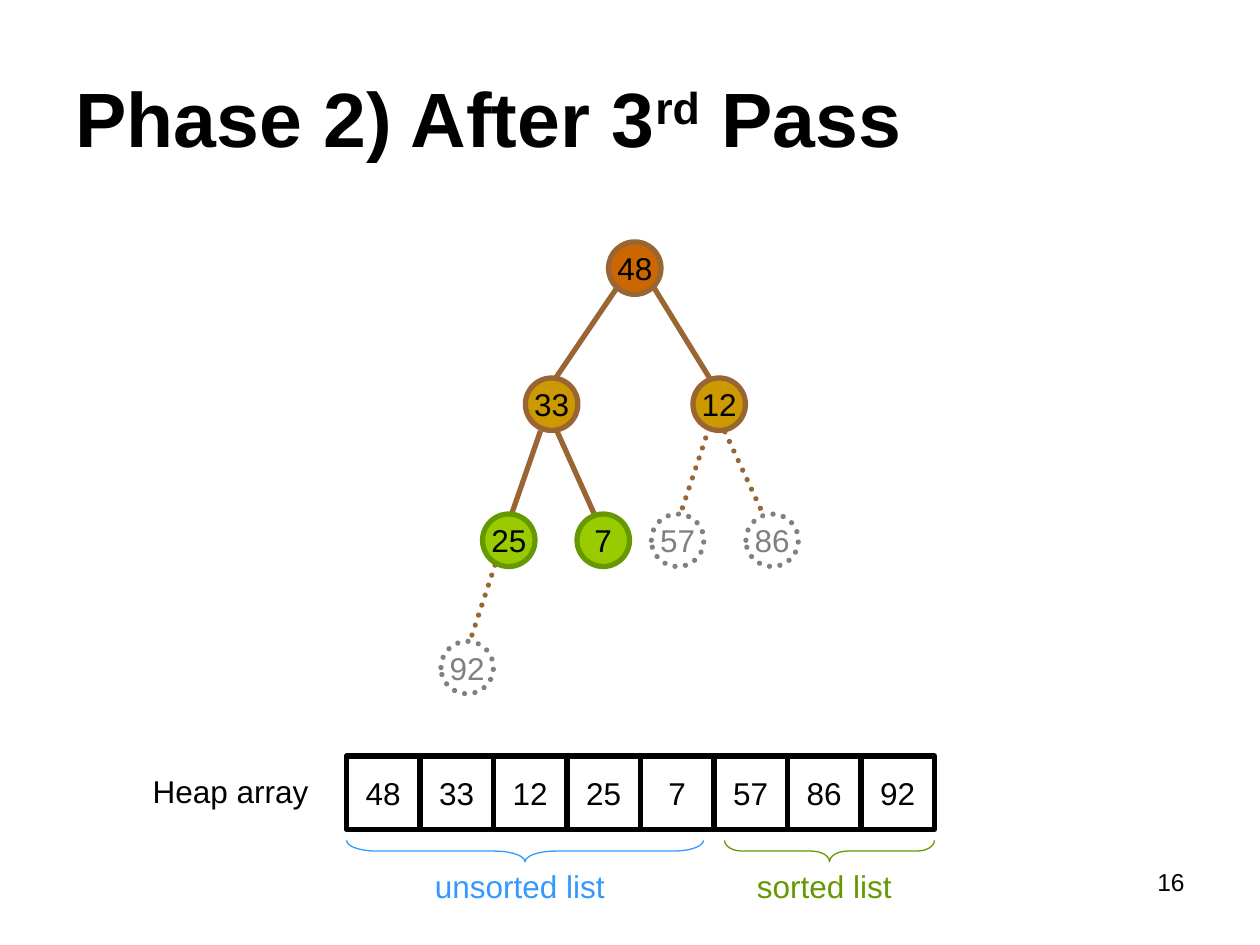
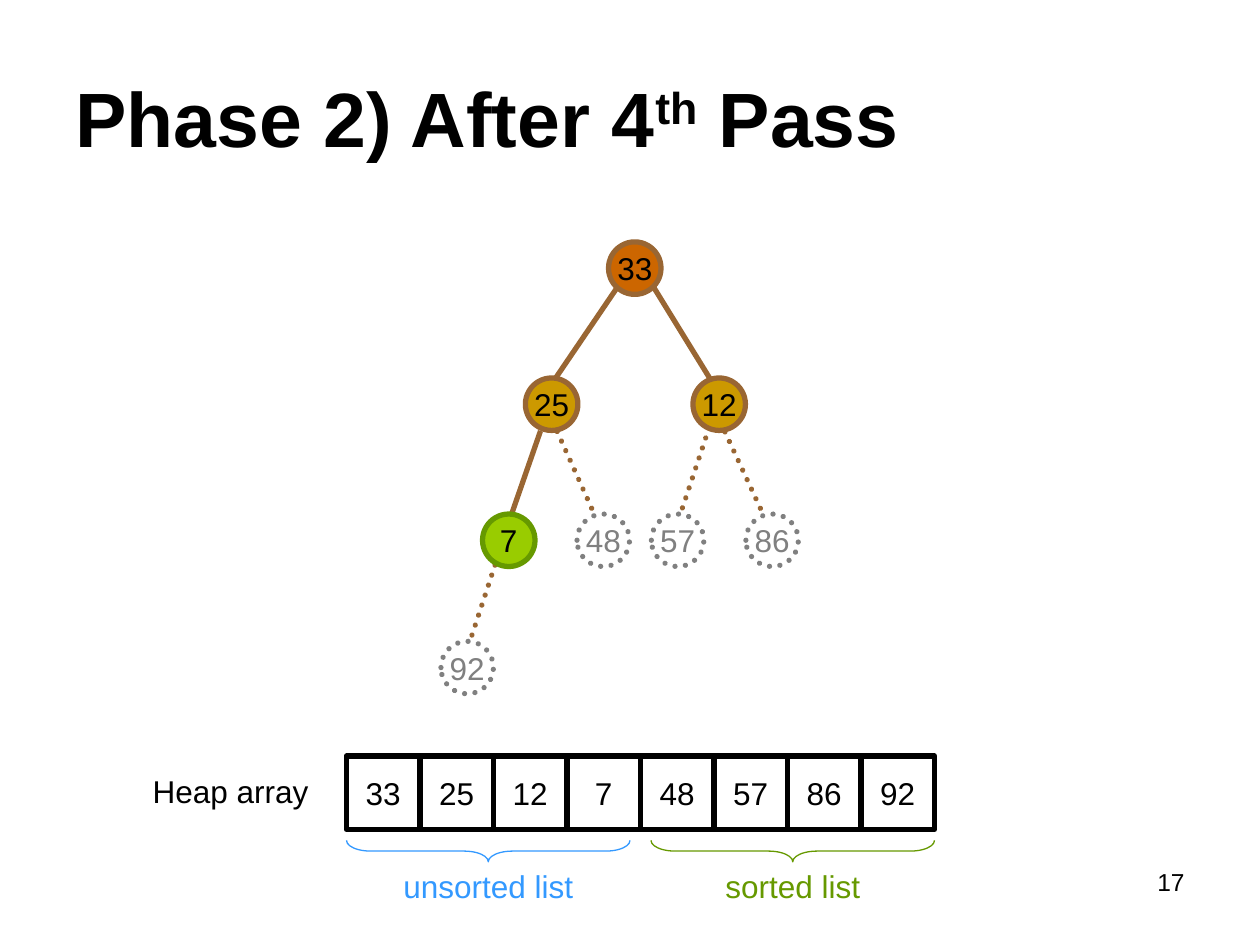
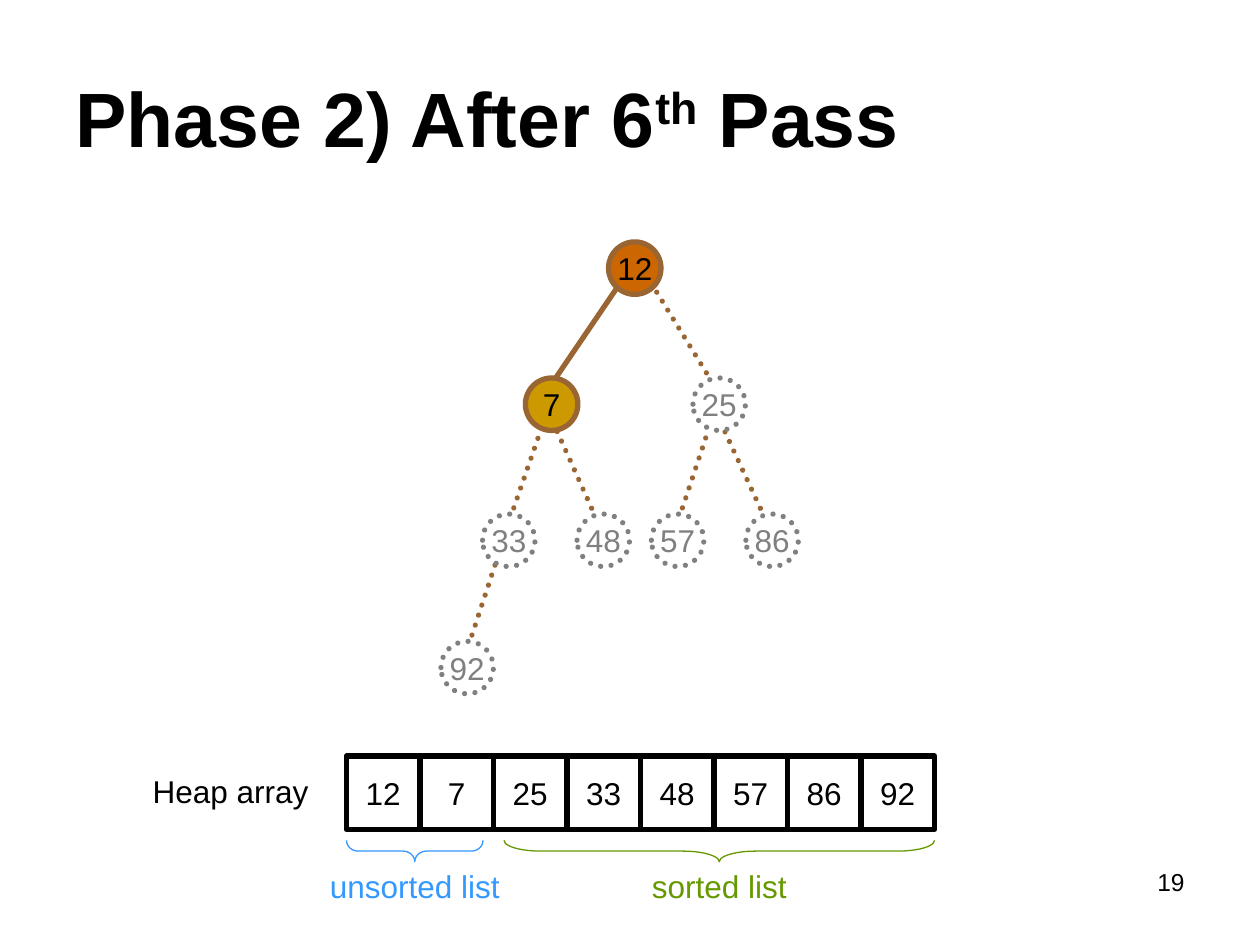
from dataclasses import dataclass

from lxml.etree import SubElement
from pptx import Presentation
from pptx.dml.color import RGBColor
from pptx.enum.dml import MSO_LINE
from pptx.enum.shapes import MSO_CONNECTOR, MSO_SHAPE
from pptx.enum.text import MSO_ANCHOR, MSO_AUTO_SIZE, PP_ALIGN
from pptx.oxml.ns import qn
from pptx.util import Inches, Pt

FONT = "Arial"
COLORS = {
    "text": "000000",
    "white": "FFFFFF",
    "root": "CC6600",
    "inner": "CC9900",
    "leaf": "99CC00",
    "leaf_line": "669900",
    "branch": "996633",
    "removed": "808080",
    "unsorted": "3399FF",
    "sorted": "669900",
}
NODE_STYLES = {
    "root": {"fill": "root", "line": "branch", "text": "text"},
    "inner": {"fill": "inner", "line": "branch", "text": "text"},
    "leaf": {"fill": "leaf", "line": "leaf_line", "text": "text"},
    "removed": {"fill": "white", "line": "removed", "text": "removed", "dotted": True},
}
CELL_STYLE = {"fill": "white", "line": "text", "text": "text"}

GRID = 1 / 12
NODE_SIZE = 5 * GRID
ARRAY_LEFT = 33
ARRAY_TOP = 6
CELL_UNITS = 7
LABEL_UNITS = 21
BRACE_TOP = 6.67
BRACE_DEPTH = 0.17


@dataclass
class NodePlace:
    left: float
    top: float
    parent_joint: tuple = ()


NODE_PLACES = [
    NodePlace(4.83, 1.92),
    NodePlace(4.17, 3, (4.92, 2.25)),
    NodePlace(5.5, 3, (5.17, 2.25)),
    NodePlace(3.83, 4.08, (4.29, 3.42)),
    NodePlace(4.58, 4.08, (4.42, 3.42)),
    NodePlace(5.17, 4.08, (5.62, 3.42)),
    NodePlace(5.92, 4.08, (5.75, 3.42)),
    NodePlace(3.5, 5.09, (3.95, 4.42)),
]

PASSES = [
    {"page": 16, "number": "3", "ordinal": "rd", "unsorted": 5,
     "values": [48, 33, 12, 25, 7, 57, 86, 92]},
    {"page": 17, "number": "4", "ordinal": "th", "unsorted": 4,
     "values": [33, 25, 12, 7, 48, 57, 86, 92]},
    {"page": 19, "number": "6", "ordinal": "th", "unsorted": 2,
     "values": [12, 7, 25, 33, 48, 57, 86, 92]},
]


def rgb(name):
    return RGBColor.from_string(COLORS[name])


def set_attributes(target, values):
    for name, value in values.items():
        setattr(target, name, value)


def add_run(paragraph, text, size, color="text", bold=False):
    run = paragraph.add_run()
    run.text = text
    set_attributes(run.font, {"name": FONT, "size": Pt(size), "bold": bold})
    run.font.color.rgb = rgb(color)
    return run


def format_line(shape, color, width, dotted=False):
    shape.line.color.rgb = rgb(color)
    shape.line.width = Pt(width)
    if dotted:
        shape.line.dash_style = MSO_LINE.ROUND_DOT
        shape._element.spPr.find(qn("a:ln")).set("cap", "rnd")


def add_title(slide, number, ordinal):
    title = slide.shapes.title
    set_attributes(title, {"left": Inches(0.5), "top": Inches(0.3),
                           "width": Inches(9), "height": Inches(1.25)})
    set_attributes(title.text_frame, {"vertical_anchor": MSO_ANCHOR.MIDDLE,
                                      "auto_size": MSO_AUTO_SIZE.NONE})
    paragraph = title.text_frame.paragraphs[0]
    paragraph.alignment = PP_ALIGN.LEFT
    add_run(paragraph, f"Phase 2) After {number}", 44, bold=True)
    superscript = add_run(paragraph, ordinal, 44, bold=True)
    superscript._r.get_or_add_rPr().set("baseline", "30000")
    add_run(paragraph, " Pass", 44, bold=True)


def add_label(slide, text, left, top, width, height=0.4, size=18,
              color="text", alignment=PP_ALIGN.CENTER):
    box = slide.shapes.add_textbox(Inches(left), Inches(top), Inches(width), Inches(height))
    box.text_frame.word_wrap = True
    paragraph = box.text_frame.paragraphs[0]
    paragraph.alignment = alignment
    add_run(paragraph, text, size, color)


def add_value(slide, preset, value, left, top, size, style):
    shape = slide.shapes.add_shape(preset, Inches(left), Inches(top), Inches(size), Inches(size))
    shape.shadow.inherit = False
    shape.fill.solid()
    shape.fill.fore_color.rgb = rgb(style["fill"])
    format_line(shape, style["line"], 3, style.get("dotted", False))
    set_attributes(shape.text_frame, {
        "word_wrap": False, "vertical_anchor": MSO_ANCHOR.MIDDLE,
        "margin_left": 0, "margin_right": 0, "margin_top": 0, "margin_bottom": 0,
    })
    paragraph = shape.text_frame.paragraphs[0]
    paragraph.alignment = PP_ALIGN.CENTER
    add_run(paragraph, str(value), 18, style["text"])


def add_branch(slide, place, is_left_child, dotted):
    start_x = place.left + (0.22 if is_left_child else 0.15)
    end_x, end_y = place.parent_joint
    branch = slide.shapes.add_connector(
        MSO_CONNECTOR.STRAIGHT, Inches(start_x), Inches(place.top + 0.03),
        Inches(end_x), Inches(end_y))
    format_line(branch, "branch", 3, dotted)
    SubElement(branch._element.spPr, qn("a:effectLst"))


def node_style(index, unsorted_count):
    if index >= unsorted_count:
        return NODE_STYLES["removed"]
    if index == 0:
        return NODE_STYLES["root"]
    return NODE_STYLES["inner" if index < 3 else "leaf"]


def add_heap_tree(slide, values, unsorted_count):
    for index, place in enumerate(NODE_PLACES[1:], start=1):
        add_branch(slide, place, index % 2 == 1, index >= unsorted_count)
    for index, (value, place) in enumerate(zip(values, NODE_PLACES)):
        add_value(slide, MSO_SHAPE.OVAL, value, place.left, place.top,
                  NODE_SIZE, node_style(index, unsorted_count))


def add_heap_array(slide, values):
    add_label(slide, "Heap array", 1.08, 6.08, 1.5)
    for index, value in enumerate(values):
        left = (ARRAY_LEFT + index * CELL_UNITS) * GRID
        add_value(slide, MSO_SHAPE.RECTANGLE, value, left, ARRAY_TOP,
                  CELL_UNITS * GRID, CELL_STYLE)


def add_range(slide, text, start, units, color):
    length = units * GRID
    center_x = start * GRID + length / 2
    center_y = BRACE_TOP + BRACE_DEPTH / 2
    brace = slide.shapes.add_shape(
        MSO_SHAPE.RIGHT_BRACE, Inches(center_x - BRACE_DEPTH / 2),
        Inches(center_y - length / 2), Inches(BRACE_DEPTH), Inches(length))
    brace.rotation = 90
    brace.adjustments[0] = length / 2
    brace.shadow.inherit = False
    brace.fill.background()
    format_line(brace, color, 0.75)
    label_left = start + (units - LABEL_UNITS) // 2
    add_label(slide, text, label_left * GRID, 6.83, LABEL_UNITS * GRID, color=color)


def add_ranges(slide, unsorted_count, total):
    unsorted_units = unsorted_count * CELL_UNITS - 1
    sorted_units = (total - unsorted_count) * CELL_UNITS - 1
    add_range(slide, "unsorted list", ARRAY_LEFT, unsorted_units, "unsorted")
    add_range(slide, "sorted list", ARRAY_LEFT + unsorted_units + 2, sorted_units, "sorted")


def add_pass_slide(presentation, heap_pass):
    slide = presentation.slides.add_slide(presentation.slide_layouts[5])
    values = heap_pass["values"]
    add_title(slide, heap_pass["number"], heap_pass["ordinal"])
    add_heap_array(slide, values)
    add_heap_tree(slide, values, heap_pass["unsorted"])
    add_ranges(slide, heap_pass["unsorted"], len(values))
    add_label(slide, str(heap_pass["page"]), 7.17, 6.83, 2.33, height=0.52,
              size=14, alignment=PP_ALIGN.RIGHT)


def main():
    presentation = Presentation()
    presentation.slide_width = Inches(10)
    presentation.slide_height = Inches(7.5)
    for heap_pass in PASSES:
        add_pass_slide(presentation, heap_pass)
    presentation.save("out.pptx")


if __name__ == "__main__":
    main()
